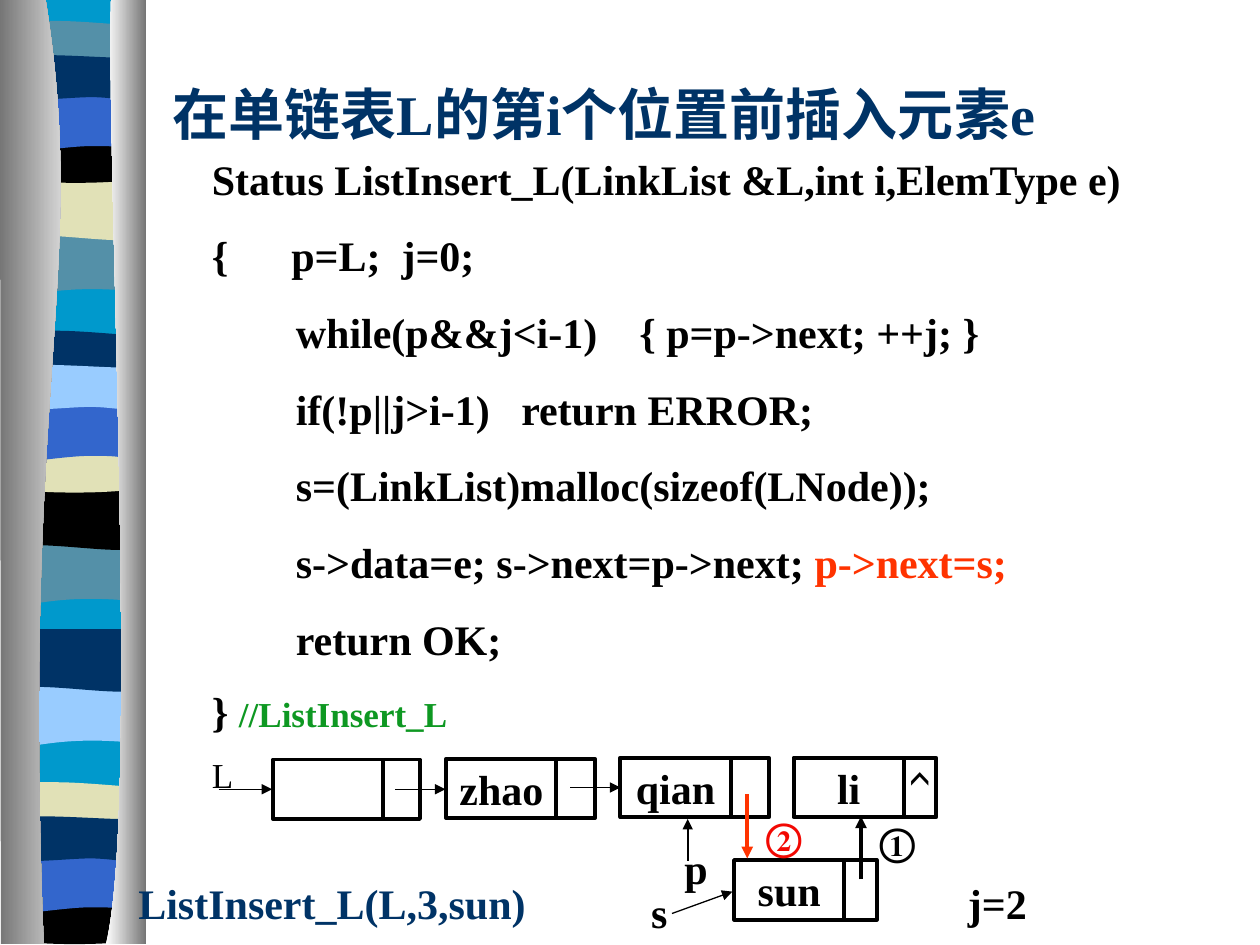
from dataclasses import dataclass

from lxml import etree
from pptx import Presentation
from pptx.dml.color import RGBColor
from pptx.enum.shapes import MSO_CONNECTOR, MSO_SHAPE
from pptx.enum.text import MSO_ANCHOR, PP_ALIGN
from pptx.oxml.ns import qn
from pptx.util import Pt

RECTANGLE = MSO_SHAPE.RECTANGLE
STRAIGHT = MSO_CONNECTOR.STRAIGHT
TOP, MIDDLE = MSO_ANCHOR.TOP, MSO_ANCHOR.MIDDLE
CENTER = PP_ALIGN.CENTER


@dataclass(frozen=True)
class Theme:
    font: str = "Times New Roman"
    caret_font: str = "Cabin"
    black: str = "000000"
    navy: str = "003366"
    blue: str = "3366CC"
    sky: str = "99CCFF"
    cyan: str = "0099CC"
    teal: str = "5490A8"
    sand: str = "E1E1B7"
    orange: str = "FF3300"
    red: str = "F20802"
    green: str = "0E9822"
    grey: str = "767676"
    white: str = "FFFFFF"
    title: float = 32
    body: float = 24
    step: float = 22
    small: float = 20


THEME = Theme()


@dataclass(frozen=True)
class BandForm:
    """A stripe: its top in the first group, and segments of one point (line) or three (curve)."""
    top: float
    segments: tuple


@dataclass(frozen=True)
class BandGroup:
    left: float
    offset: float
    colors: dict[str, str]


@dataclass(frozen=True)
class Node:
    text: str
    left: float
    top: float
    link_width: float
    link_text: str = ""


@dataclass(frozen=True)
class Arrow:
    start: tuple[float, float]
    end: tuple[float, float]
    color: str = THEME.black
    width: float = 0.75


@dataclass(frozen=True)
class Run:
    text: str
    color: str = THEME.black
    size: float = THEME.body
    bold: bool = True
    font: str = THEME.font


@dataclass(frozen=True)
class Label:
    run: Run
    left: float
    top: float
    width: float
    height: float = 36
    anchor: MSO_ANCHOR = TOP
    wrap: bool = True


NODE_WIDTH, NODE_HEIGHT = 63, 34
FORMS = {
    "swell": BandForm(133, (
        ((78, 0),), ((78, 0), (78, 34), (78, 34)),
        ((24, 28), (13, 39.5), (0, 34)), ((0, 0),))),
    "wave": BandForm(101.5, (
        ((78, 0),), ((78, 34),), ((65, 39.5), (24, 30), (0, 34)), ((0, 0),))),
    "lip": BandForm(11.5, (
        ((78, 3.5),), ((78, 20.5),), ((65, 24), (13, 24), (0, 20.5)), ((0, 3.5),),
        ((4.5, 0), (17, 0.5), (29.5, 0.5)), ((42.5, 0.5), (68, 3), (78, 3.5)))),
    "sag": BandForm(78, (
        ((78, 0),), ((78, 23.5),), ((65, 27.5), (13, 27.5), (0, 23.5)), ((0, 0),),
        ((47.5, 3.5), (61, 0), (78, 0)))),
    "arch": BandForm(53.5, (
        ((78, 0),), ((78, 0), (78, 34), (78, 34)), ((66, 30), (61, 30), (48, 30)),
        ((35, 30), (11.5, 34), (0, 34)), ((0, 0),))),
    "rise": BandForm(29.5, (
        ((78, 3.5),), ((78, 26),), ((73, 29.5), (61, 26), (48, 26)),
        ((35, 26), (8, 29.5), (0, 26)), ((0, 3.5),),
        ((11, 0), (52.5, 3.5), (65.5, 3.5)), ((79, 3.5), (75.5, 3.5), (78, 3.5)))),
}
GROUPS = [
    BandGroup(4.3, 0, {"swell": THEME.teal, "wave": THEME.sand, "lip": THEME.teal,
                       "sag": THEME.black, "arch": THEME.blue, "rise": THEME.navy}),
    BandGroup(3.6, 177, {"swell": THEME.teal, "wave": THEME.black, "lip": THEME.navy,
                         "sag": THEME.sand, "arch": THEME.blue, "rise": THEME.sky}),
    BandGroup(4.3, 258, {"swell": THEME.sky, "wave": THEME.navy}),
    BandGroup(3.6, 435, {"lip": THEME.sand, "sag": THEME.black,
                         "arch": THEME.blue, "rise": THEME.navy}),
]
BACKING = (((82, -0.5),), ((82, 538),), ((4.3, 538),), ((4.3, -0.5),))
LEFT_CURTAIN = (((26, -0.5),), ((51, 155.5), (12, 213), (25, 539.5)),
                ((0.5, 539.5),), ((0, -0.5),))
RIGHT_CURTAIN = (((63.5, -0.5),), ((60.5, 90), (80, 465), (60.5, 539.5)),
                 ((83.5, 539.5),), ((83.5, 0),))
CODE = [
    [Run("Status ListInsert_L(LinkList &L,int i,ElemType e)")],
    [Run("{      p=L;  j=0;")],
    [Run("        while(p&&j<i-1)    { p=p->next; ++j; }")],
    [Run("        if(!p||j>i-1)   return ERROR;")],
    [Run("        s=(LinkList)malloc(sizeof(LNode));")],
    [Run("        s->data=e; s->next=p->next; "), Run("p->next=s;", THEME.orange)],
    [Run("        return OK;")],
    [Run("} "), Run("//ListInsert_L", THEME.green, THEME.small)],
]
NODES = [
    Node("", 156, 434, 21), Node("zhao", 255, 433.5, 22),
    Node("qian", 354.5, 433, 22), Node("li", 453.5, 433, 18.5, "^"),
    Node("sun", 419.5, 491.5, 18.5),
]
ARROWS = [
    Arrow((125, 451), (155.5, 451)), Arrow((226, 451), (254.5, 451)),
    Arrow((326, 450), (354.5, 450)), Arrow((384, 522), (418.5, 509.5)),
    Arrow((393, 492), (393, 468), width=1),
    Arrow((427, 454), (427, 490.5), THEME.orange, 2.25),
    Arrow((492, 502.5), (492, 466.5), width=2.25),
]
LABELS = [
    Label(Run("在单链表L的第i个位置前插入元素e", THEME.navy, THEME.title),
          91.5, 19.5, 612, 90, MIDDLE),
    Label(Run("L", size=THEME.small, bold=False), 114, 427, 30, 31.5),
    Label(Run("ListInsert_L(L,3,sun)", THEME.navy), 72, 498, 258),
    Label(Run("j=2"), 546, 498, 60),
    Label(Run("p"), 384, 478, 48),
    Label(Run("s"), 365, 503, 30),
    Label(Run("②", THEME.red, THEME.step), 430.5, 461, 34.5, 34, wrap=False),
    Label(Run("①", size=THEME.step), 495.5, 464, 39, 34),
]


def rgb(color: str) -> RGBColor:
    return RGBColor.from_string(color)


def add_outline(slide, segments: tuple, *colors: str, left: float = 0, top: float = 0) -> None:
    """Draw a closed outline, in one colour or a left-to-right gradient of two."""
    points = [(Pt(left + x), Pt(top + y)) for segment in segments for x, y in segment]
    builder = slide.shapes.build_freeform(*points[0])
    builder.add_line_segments(points[1:], close=True)
    shape = builder.convert_to_shape()
    lines = iter(list(shape._element.iter(qn("a:lnTo"))))
    for segment in segments[1:]:
        parts = [next(lines) for _ in segment]
        if len(parts) == 3:
            curve = etree.Element(qn("a:cubicBezTo"))
            parts[0].addprevious(curve)
            for part in parts:
                curve.append(part[0])
                part.getparent().remove(part)
    shape.shadow.inherit = False
    shape.line.fill.background()
    if len(colors) == 1:
        shape.fill.solid()
        shape.fill.fore_color.rgb = rgb(colors[0])
        return
    shape.fill.gradient()
    shape.fill.gradient_angle = 0
    for stop, color in zip(shape.fill.gradient_stops, colors):
        stop.color.rgb = rgb(color)


def add_ribbon(slide) -> None:
    add_outline(slide, BACKING, THEME.cyan)
    for group in GROUPS:
        for name, color in group.colors.items():
            form = FORMS[name]
            add_outline(slide, form.segments, color,
                        left=group.left, top=form.top + group.offset)
    add_outline(slide, LEFT_CURTAIN, THEME.grey, THEME.white)
    add_outline(slide, RIGHT_CURTAIN, THEME.white, THEME.grey)


def add_run(paragraph, run: Run) -> None:
    text_run = paragraph.add_run()
    text_run.text = run.text
    font = text_run.font
    font.name, font.size, font.bold = run.font, Pt(run.size), run.bold
    font.color.rgb = rgb(run.color)


def add_text_frame(slide, left: float, top: float, width: float, height: float):
    box = slide.shapes.add_textbox(Pt(left), Pt(top), Pt(width), Pt(height))
    box.text_frame.word_wrap = True
    return box.text_frame


def add_label(slide, label: Label) -> None:
    frame = add_text_frame(slide, label.left, label.top, label.width, label.height)
    frame.word_wrap, frame.vertical_anchor = label.wrap, label.anchor
    add_run(frame.paragraphs[0], label.run)


def add_code(slide) -> None:
    frame = add_text_frame(slide, 114, 84, 558, 340.5)
    for index, runs in enumerate(CODE):
        paragraph = frame.add_paragraph() if index else frame.paragraphs[0]
        if index:
            paragraph.space_before = Pt(12.5 if index == len(CODE) - 1 else 15)
        for run in runs:
            add_run(paragraph, run)


def add_cell(slide, left: float, top: float, width: float, run: Run) -> None:
    shape = slide.shapes.add_shape(RECTANGLE, Pt(left), Pt(top), Pt(width), Pt(NODE_HEIGHT))
    shape.shadow.inherit = False
    shape.fill.background()
    shape.line.color.rgb = rgb(THEME.black)
    shape.line.width = Pt(2.25)
    if run.text:
        frame = shape.text_frame
        frame.word_wrap, frame.vertical_anchor = False, MIDDLE
        frame.paragraphs[0].alignment = CENTER
        add_run(frame.paragraphs[0], run)


def add_node(slide, node: Node) -> None:
    add_cell(slide, node.left, node.top, NODE_WIDTH, Run(node.text))
    add_cell(slide, node.left + NODE_WIDTH, node.top, node.link_width,
             Run(node.link_text, bold=False, font=THEME.caret_font))


def add_arrow(slide, arrow: Arrow) -> None:
    ends = [Pt(value) for value in (*arrow.start, *arrow.end)]
    connector = slide.shapes.add_connector(STRAIGHT, *ends)
    connector.line.color.rgb = rgb(arrow.color)
    connector.line.width = Pt(arrow.width)
    properties = connector._element.spPr
    etree.SubElement(properties.find(qn("a:ln")), qn("a:tailEnd"), type="triangle")
    etree.SubElement(properties, qn("a:effectLst"))


def main() -> None:
    presentation = Presentation()
    presentation.slide_width, presentation.slide_height = Pt(720), Pt(540)
    slide = presentation.slides.add_slide(presentation.slide_layouts[6])
    add_ribbon(slide)
    add_code(slide)
    for draw, items in ((add_node, NODES), (add_arrow, ARROWS), (add_label, LABELS)):
        for item in items:
            draw(slide, item)
    presentation.save("out.pptx")


if __name__ == "__main__":
    main()
